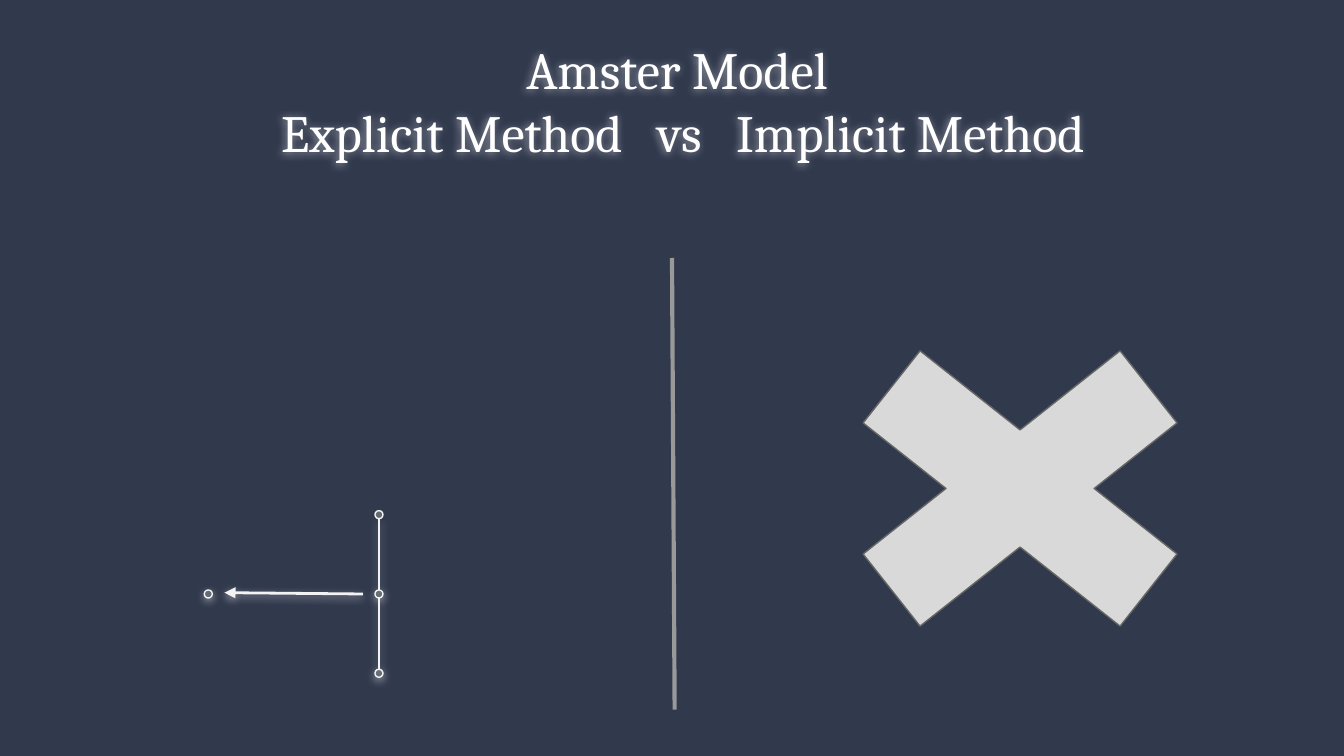
from lxml.etree import SubElement
from pptx import Presentation
from pptx.dml.color import RGBColor
from pptx.enum.shapes import MSO_CONNECTOR as CONNECTOR, MSO_SHAPE as SHAPE
from pptx.enum.text import MSO_ANCHOR as ANCHOR, MSO_AUTO_SIZE as AUTO_SIZE, PP_ALIGN as ALIGN
from pptx.oxml.ns import qn
from pptx.util import Inches, Pt

TITLE = ["Amster Model ", "Explicit Method   vs   Implicit Method"]
COLORS = {
    "background": "31394D", "text": "FFFFFF", "node": "626B73", "stencil": "F3F3F3",
    "divider": "999999", "cross": "D9D9D9", "cross_line": "666666",
}
SLIDE_WIDTH = 10
SLIDE_HEIGHT = SLIDE_WIDTH * 9 / 16
NODE_SIZE = 0.06
CENTER_X, CENTER_Y = 2.82, 4.42
STEP_X, STEP_Y = 1.27, 0.59
DOWN, LEFT = 90, 180
NODES = [(0, -1, None), (0, 1, DOWN), (0, 0, DOWN), (-1, 0, DOWN)]


def color(name):
    return RGBColor.from_string(COLORS[name])


def set_effects(shape, angle):
    effects = SubElement(shape._element.spPr, qn("a:effectLst"))
    if angle is not None:
        shadow = SubElement(effects, qn("a:outerShdw"), blurRad=str(Pt(4.5)),
                            dist=str(Pt(1.5)), dir=str(angle * 60000),
                            algn="bl", rotWithShape="0")
        tint = SubElement(shadow, qn("a:srgbClr"), val=COLORS["text"])
        SubElement(tint, qn("a:alpha"), val="50000")


def add_figure(shapes, kind, box, fill, line, angle=None):
    shape = shapes.add_shape(kind, *map(Inches, box))
    shape.fill.solid()
    shape.fill.fore_color.rgb = color(fill)
    shape.line.color.rgb = color(line)
    shape.line.width = Pt(0.75)
    set_effects(shape, angle)
    return shape


def add_line(shapes, start, end, line, width, angle=None, arrow=False):
    connector = shapes.add_connector(CONNECTOR.STRAIGHT, *map(Inches, start + end))
    connector.line.color.rgb = color(line)
    connector.line.width = Pt(width)
    if arrow:
        SubElement(connector.line._get_or_add_ln(), qn("a:tailEnd"), type="triangle")
    set_effects(connector, angle)


def write_text(shape, lines, *, font, size, fill, align, anchor):
    frame = shape.text_frame
    frame.word_wrap = True
    frame.auto_size = AUTO_SIZE.NONE
    frame.vertical_anchor = anchor
    frame.margin_left = frame.margin_right = Inches(0.1)
    frame.margin_top = frame.margin_bottom = Inches(0.1)
    for index, line in enumerate(lines):
        paragraph = frame.add_paragraph() if index else frame.paragraphs[0]
        paragraph.alignment = align
        paragraph.line_spacing = 1.0
        paragraph.space_before = Pt(0)
        run = paragraph.add_run()
        run.text = line
        run.font.name = font
        run.font.size = Pt(size)
        run.font.color.rgb = color(fill)


def add_stencil(slide):
    shapes = slide.shapes.add_group_shape().shapes
    radius = NODE_SIZE / 2
    for column, row, angle in NODES:
        box = (CENTER_X + column * STEP_X - radius, CENTER_Y + row * STEP_Y - radius,
               NODE_SIZE, NODE_SIZE)
        add_figure(shapes, SHAPE.OVAL, box, "node", "stencil", angle)
    add_line(shapes, (2.7, CENTER_Y), (1.67, 4.41), "stencil", 1.5, DOWN, arrow=True)
    for top in (CENTER_Y - STEP_Y, CENTER_Y):
        add_line(shapes, (CENTER_X, top + radius), (CENTER_X, top + STEP_Y - radius),
                 "stencil", 0.75, DOWN)


def main():
    """Build the slide comparing the explicit and implicit methods."""
    presentation = Presentation()
    presentation.slide_width = Inches(SLIDE_WIDTH)
    presentation.slide_height = Inches(SLIDE_HEIGHT)
    slide = presentation.slides.add_slide(presentation.slide_layouts[5])
    slide.background.fill.solid()
    slide.background.fill.fore_color.rgb = color("background")

    title = slide.shapes.title
    title.left, title.top, title.width, title.height = map(Inches, (1.09, 0.43, 7.98, 0.88))
    write_text(title, TITLE, font="Cambria", size=28, fill="text",
               align=ALIGN.CENTER, anchor=ANCHOR.BOTTOM)
    set_effects(title, LEFT)

    add_stencil(slide)
    add_line(slide.shapes, (5, 1.92), (5.02, 5.28), "divider", 2.25)
    cross = add_figure(slide.shapes, SHAPE.MATH_MULTIPLY, (5.75, 2.18, 3.68, 2.91),
                       "cross", "cross_line")
    cross.adjustments[0] = 0.235
    presentation.save("out.pptx")


if __name__ == "__main__":
    main()
